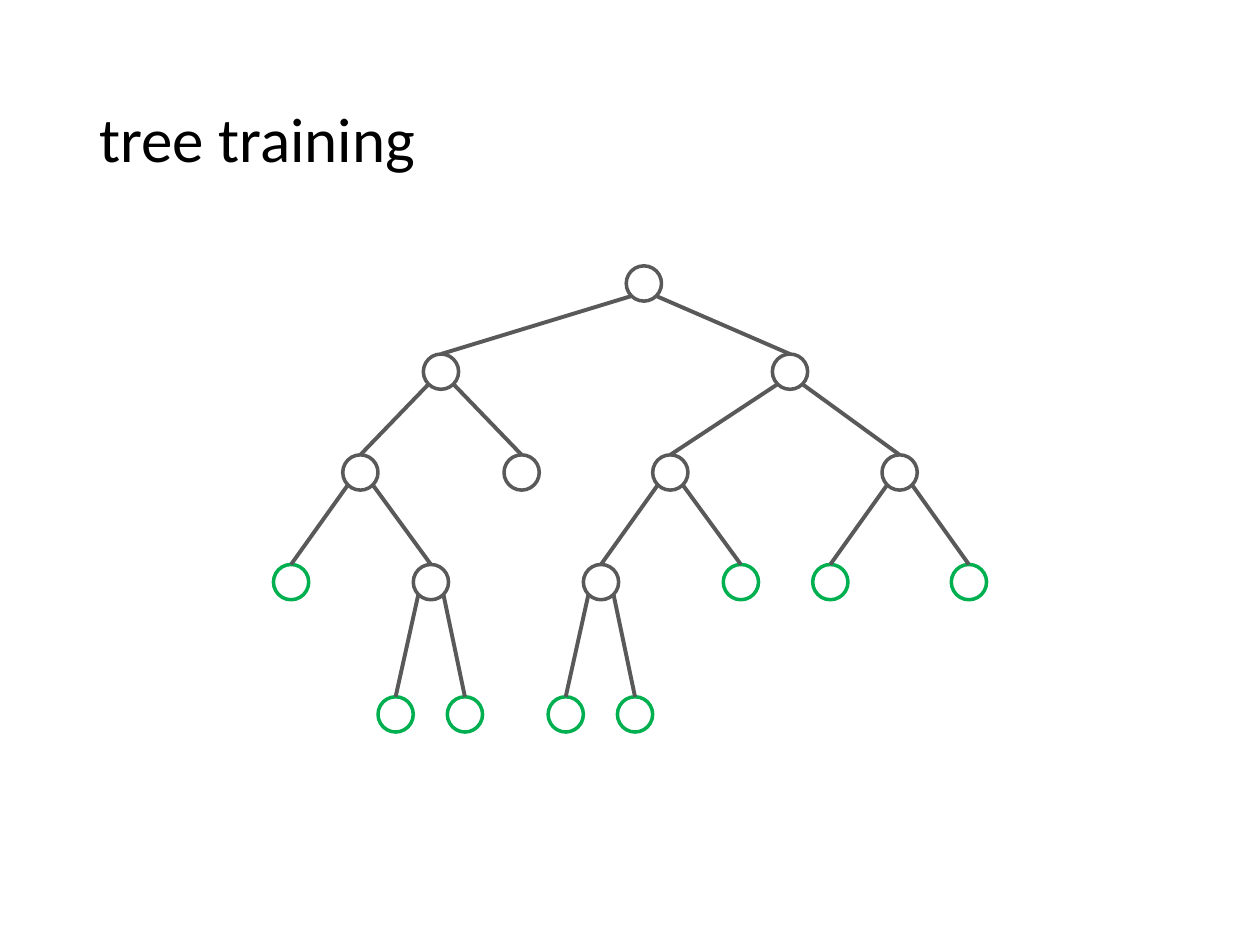
"""Build a slide showing a binary tree with its finished leaves in green."""
from dataclasses import dataclass

from lxml import etree
from pptx import Presentation
from pptx.dml.color import RGBColor
from pptx.enum.shapes import MSO_CONNECTOR, MSO_SHAPE
from pptx.enum.text import MSO_ANCHOR
from pptx.oxml.ns import qn
from pptx.shapes.autoshape import Shape
from pptx.shapes.shapetree import SlideShapes
from pptx.util import Inches, Pt

OVAL = MSO_SHAPE.OVAL
STRAIGHT = MSO_CONNECTOR.STRAIGHT
MIDDLE = MSO_ANCHOR.MIDDLE
GREY, GREEN, WHITE, BLACK = "595959", "00B050", "FFFFFF", "000000"
SIZE = 0.28
REACH = 0.1
TOPS = (2.11, 2.81, 3.61, 4.48, 5.53)


@dataclass(frozen=True)
class Node:
    """A tree node with its left edge, line colour and children."""
    left: float
    hue: str = GREY
    kids: tuple["Node", ...] = ()


def leaf(left: float) -> Node:
    """Return a finished leaf."""
    return Node(left, GREEN)


def fork(left: float, *kids: Node) -> Node:
    """Return a node that splits into its children."""
    return Node(left, GREY, kids)


TREE = fork(
    4.97,
    fork(
        3.36,
        fork(2.72, leaf(2.17), fork(3.28, leaf(3), leaf(3.55))),
        Node(4),
    ),
    fork(
        6.13,
        fork(5.18, fork(4.63, leaf(4.35), leaf(4.9)), leaf(5.74)),
        fork(7, leaf(6.45), leaf(7.55)),
    ),
)


def color(code: str) -> RGBColor:
    """Turn a hex string into a colour."""
    return RGBColor.from_string(code)


def draw_edge(shapes: SlideShapes, node: Node, level: int, side: int, child: Shape) -> None:
    """Join the lower side of a node to the top of its child."""
    mid = SIZE / 2
    x = Inches(node.left + mid + side * REACH)
    y = Inches(TOPS[level] + mid + REACH)
    edge = shapes.add_connector(STRAIGHT, x, y, x, y)
    edge.end_connect(child, 0)
    edge.line.color.rgb = color(GREY)
    edge.line.width = Pt(2.25)
    etree.SubElement(edge._element.spPr, qn("a:effectLst"))


def draw_node(shapes: SlideShapes, node: Node, level: int = 0) -> Shape:
    """Draw a node with everything below it."""
    ring = shapes.add_shape(
        OVAL, Inches(node.left), Inches(TOPS[level]), Inches(SIZE), Inches(SIZE)
    )
    ring.shadow.inherit = False
    ring.fill.solid()
    ring.fill.fore_color.rgb = color(WHITE)
    ring.line.color.rgb = color(node.hue)
    ring.line.width = Pt(2)
    for side, kid in zip((-1, 1), node.kids):
        child = draw_node(shapes, kid, level + 1)
        draw_edge(shapes, node, level, side, child)
    return ring


def draw_title(shapes: SlideShapes, text: str) -> None:
    """Write the slide title."""
    box = shapes.add_textbox(Inches(0.69), Inches(0.4), Inches(8.62), Inches(1.45))
    frame = box.text_frame
    frame.word_wrap = True
    frame.vertical_anchor = MIDDLE
    para = frame.paragraphs[0]
    para.line_spacing = 0.9
    run = para.add_run()
    run.text = text
    run.font.name = "Calibri"
    run.font.size = Pt(36)
    run.font.color.rgb = color(BLACK)


def main() -> None:
    """Build and save the slide."""
    deck = Presentation()
    deck.slide_width, deck.slide_height = Inches(10), Inches(7.5)
    shapes = deck.slides.add_slide(deck.slide_layouts[6]).shapes
    draw_title(shapes, "tree training")
    draw_node(shapes, TREE)
    deck.save("out.pptx")


if __name__ == "__main__":
    main()
